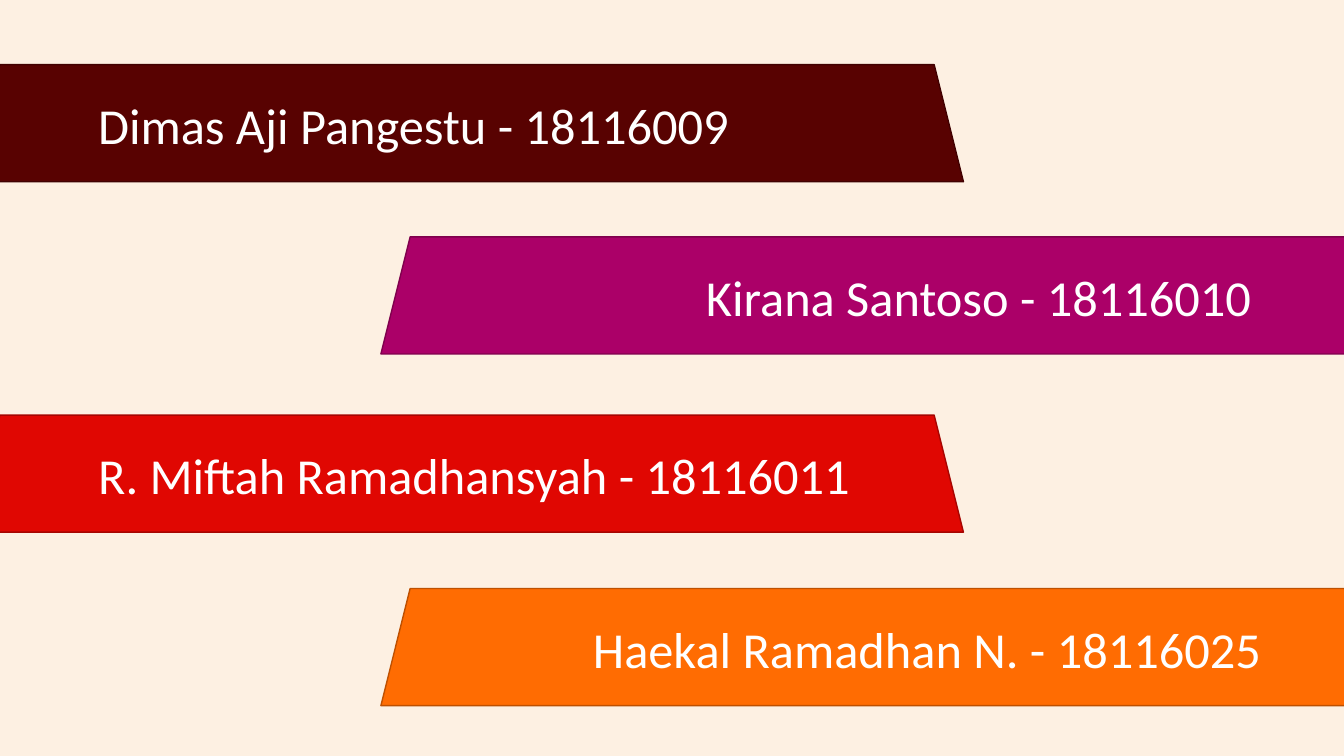
"""Build a slide of four alternating name bars."""
from pptx import Presentation
from pptx import util as u
from pptx.dml.color import RGBColor
from pptx.enum import shapes, text


def paint(color_format, color):
    color_format.rgb = RGBColor.from_string(color)


prs = Presentation()
prs.slide_width, prs.slide_height = u.Cm(33.87), u.Cm(19.05)
s = prs.slides.add_slide(prs.slide_layouts[6])
s.background.fill.solid()
paint(s.background.fill.fore_color, "FDF0E2")

left, right = text.PP_ALIGN.LEFT, text.PP_ALIGN.RIGHT
bars = [
    ("Dimas Aji Pangestu - 18116009", left, 1.63, 2.72, "580201", "410101"),
    ("Kirana Santoso - 18116010", right, 5.97, 2.59, "AB0068", "7F004D"),
    ("R. Miftah Ramadhansyah - 18116011", left, 10.46, 2.72, "E00702", "A60501"),
    ("Haekal Ramadhan N. - 18116025", right, 14.83, 2.34, "FF6C02", "BD5001"),
]

for label, side, top, inset, fill, line in bars:
    x = -0.74 if side == left else 9.6
    sp = s.shapes.add_shape(shapes.MSO_SHAPE.TRAPEZOID,
                            u.Cm(x), u.Cm(top), u.Cm(25.02), u.Cm(2.95))
    sp.shadow.inherit = False
    sp.fill.solid()
    paint(sp.fill.fore_color, fill)
    paint(sp.line.color, line)
    sp.line.width = u.Pt(1)

    tf = sp.text_frame
    tf.word_wrap = True
    tf.vertical_anchor = text.MSO_ANCHOR.MIDDLE
    if side == left:
        tf.margin_left = u.Cm(inset)
    else:
        tf.margin_right = u.Cm(inset)
    p = tf.paragraphs[0]
    p.text = label
    p.alignment = side
    p.font.name = "Calibri"
    p.font.size = u.Pt(36)
    paint(p.font.color, "FFFFFF")

prs.save("out.pptx")
